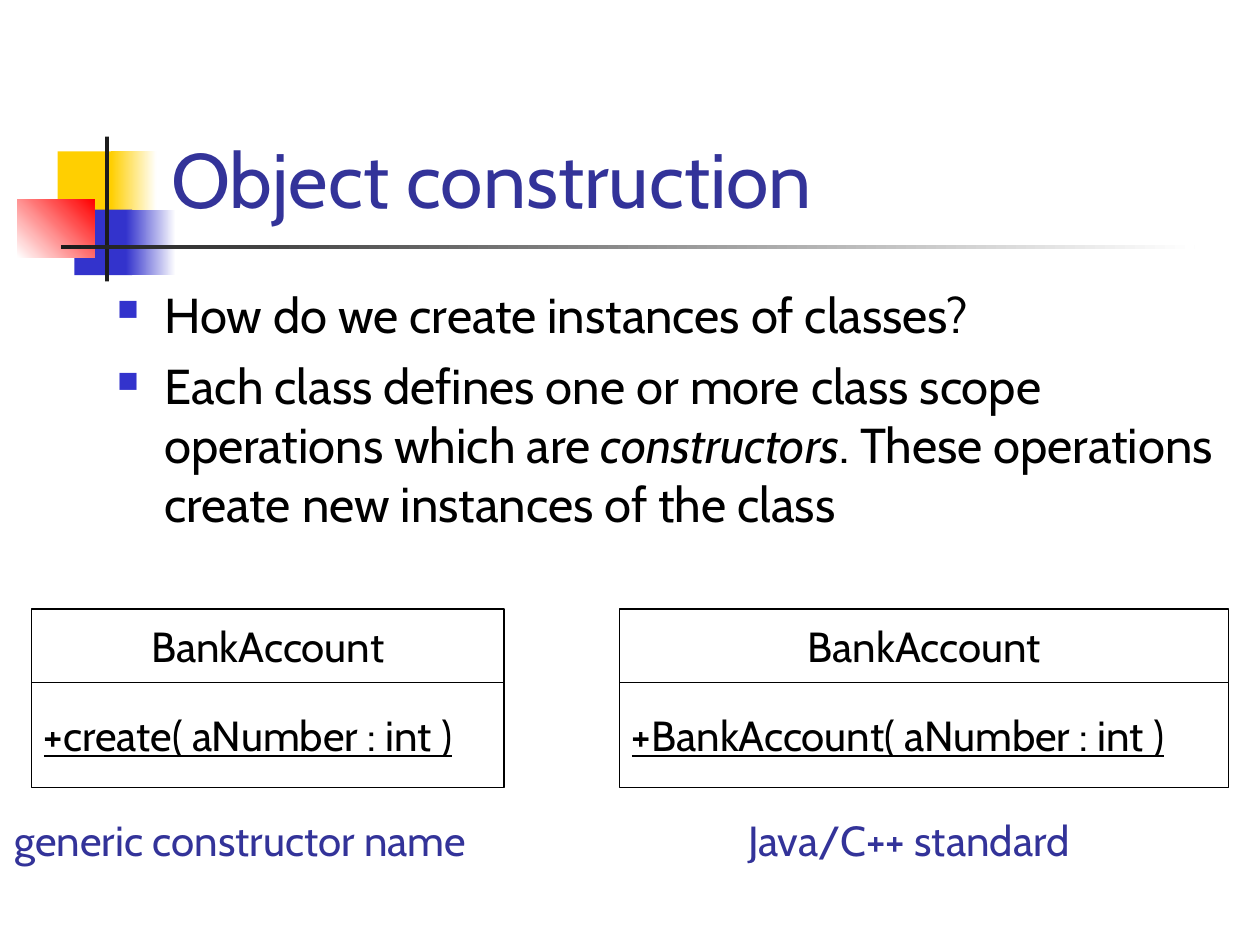
"""Build the slide on object construction with two class diagrams."""
from lxml import etree
from pptx import Presentation
from pptx.dml.color import RGBColor
from pptx.enum.shapes import MSO_SHAPE
from pptx.enum.text import MSO_ANCHOR, PP_ALIGN
from pptx.oxml.ns import qn
from pptx.util import Pt

RECTANGLE = MSO_SHAPE.RECTANGLE
TOP, MIDDLE, BOTTOM = MSO_ANCHOR.TOP, MSO_ANCHOR.MIDDLE, MSO_ANCHOR.BOTTOM
LEFT, CENTER = PP_ALIGN.LEFT, PP_ALIGN.CENTER
BLACK, WHITE, YELLOW, BLUE, RED = "000000", "FFFFFF", "FFCF01", "3333CC", "FF0000"
CHARCOAL, INDIGO = "1C1C1C", "333399"


def color(value):
    return RGBColor.from_string(value)


def write(box, text, size, ink, align=LEFT, anchor=TOP, underline=None):
    frame = box.text_frame
    frame.word_wrap = True
    frame.vertical_anchor = anchor
    para = frame.paragraphs[0]
    para.text = text
    para.alignment = align
    para.font.name = "Cabin"
    para.font.size = Pt(size)
    para.font.color.rgb = color(ink)
    para.font.underline = underline


deck = Presentation()
deck.slide_width, deck.slide_height = Pt(720), Pt(540)
slide = deck.slides.add_slide(deck.slide_layouts[6])

ornaments = [
    (33, 86.5, 34.5, 37.5, [YELLOW], 0),
    (63.5, 86.5, 26, 37.5, [YELLOW, WHITE], 0),
    (42.5, 119.8, 33, 37.4, [BLUE], 0),
    (72, 119.8, 28.5, 37.4, [BLUE, WHITE], 0),
    (10, 113.8, 44, 33.4, [WHITE, RED], 45),
    (60, 78, 2.3, 82.8, [CHARCOAL], 0),
    (34.7, 140.1, 648, 2.4, [CHARCOAL, WHITE], 0),
]
for left, top, width, height, shades, angle in ornaments:
    ornament = slide.shapes.add_shape(RECTANGLE, Pt(left), Pt(top), Pt(width), Pt(height))
    ornament.shadow.inherit = False
    ornament.line.fill.background()
    if len(shades) == 1:
        ornament.fill.solid()
        ornament.fill.fore_color.rgb = color(shades[0])
    else:
        ornament.fill.gradient()
        ornament.fill.gradient_angle = angle
        for stop, shade in zip(ornament.fill.gradient_stops, shades):
            stop.color.rgb = color(shade)

title = slide.shapes.add_textbox(Pt(90.7), Pt(16.5), Pt(613.5), Pt(115.2))
write(title, "Object construction", 44, INDIGO, anchor=BOTTOM)

body = slide.shapes.add_textbox(Pt(59.8), Pt(159.1), Pt(645.8), Pt(167.8))
body.text_frame.word_wrap = True
bullets = [
    ["How do we create instances of classes?"],
    [
        "Each class defines one or more class scope operations which are ",
        "constructors",
        ". These operations create new instances of the class",
    ],
]
for index, pieces in enumerate(bullets):
    para = body.text_frame.paragraphs[0] if index == 0 else body.text_frame.add_paragraph()
    para.space_before = Pt(7 * index)
    properties = para._p.get_or_add_pPr()
    properties.set("marL", str(Pt(27)))
    properties.set("indent", str(-Pt(27)))
    bullet_color = etree.SubElement(properties, qn("a:buClr"))
    etree.SubElement(bullet_color, qn("a:srgbClr"), val=BLUE)
    etree.SubElement(properties, qn("a:buSzPct"), val="60000")
    etree.SubElement(properties, qn("a:buChar"), char="■")
    para.font.name = "Cabin"
    para.font.size = Pt(28)
    para.font.color.rgb = color(BLACK)
    for piece in pieces:
        span = para.add_run()
        span.text = piece
        if piece == "constructors":
            span.font.italic = True

classes = [
    (18, 270, "+create( aNumber : int )"),
    (354, 348, "+BankAccount( aNumber : int )"),
]
for left, width, operation in classes:
    diagram = slide.shapes.add_group_shape()
    compartments = [
        (348, 42, "BankAccount", CENTER, None),
        (390, 60, operation, LEFT, True),
    ]
    for top, height, text, align, underline in compartments:
        compartment = diagram.shapes.add_shape(RECTANGLE, Pt(left), Pt(top), Pt(width), Pt(height))
        compartment.shadow.inherit = False
        compartment.fill.solid()
        compartment.fill.fore_color.rgb = color(WHITE)
        compartment.line.color.rgb = color(BLACK)
        compartment.line.width = Pt(0.75)
        write(compartment, text, 24, BLACK, align, MIDDLE, underline)

captions = [(1.2, 306, "generic constructor name"), (420.5, 219, "Java/C++ standard")]
for left, width, text in captions:
    caption = slide.shapes.add_textbox(Pt(left), Pt(462), Pt(width), Pt(36))
    write(caption, text, 24, INDIGO)

deck.save("out.pptx")
